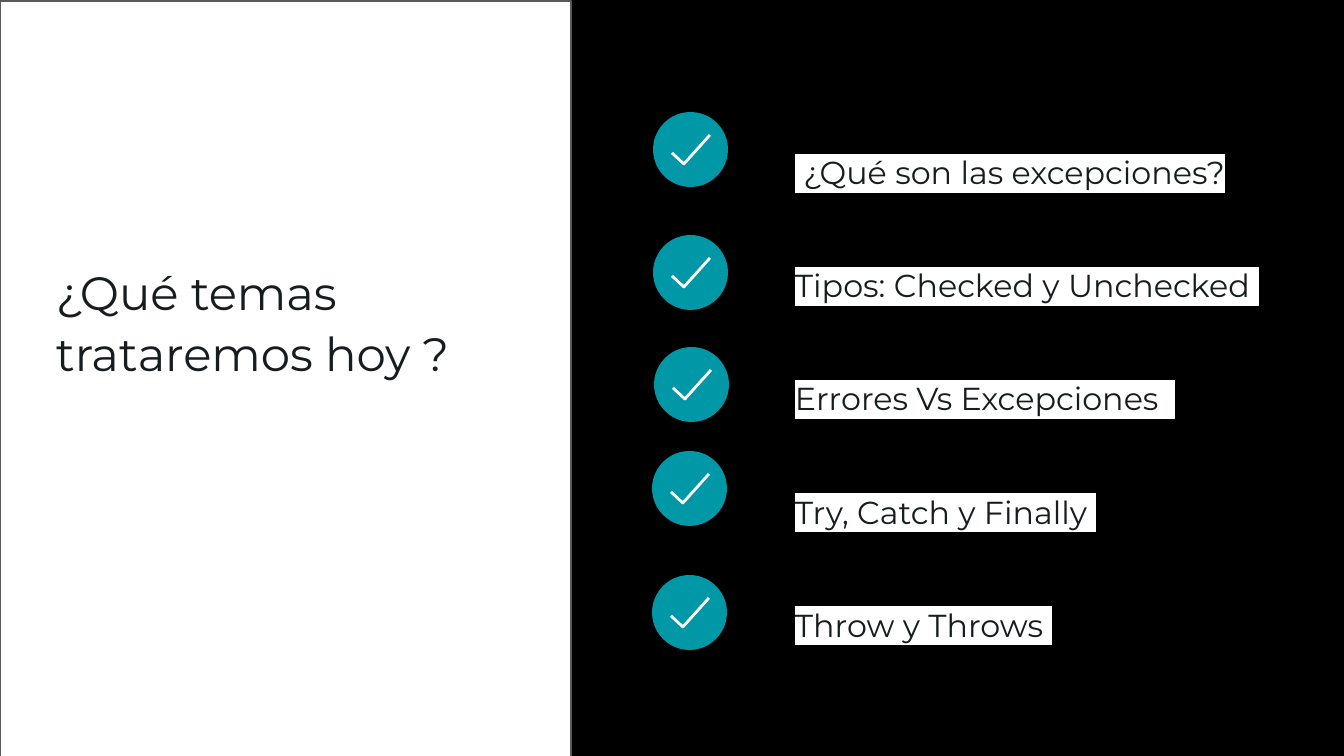
"""Build the agenda slide on exceptions."""
from lxml.etree import SubElement
from pptx import Presentation
from pptx.dml.color import RGBColor
from pptx.enum.shapes import MSO_SHAPE
from pptx.enum.text import MSO_ANCHOR
from pptx.oxml.ns import qn
from pptx.util import Pt

EMU_PER_PX = 914400 / 134.4
FONT = "Montserrat"
BLACK = RGBColor(0x00, 0x00, 0x00)
WHITE = RGBColor(0xFF, 0xFF, 0xFF)
GRAY = RGBColor(0x59, 0x59, 0x59)
INK = RGBColor(0x17, 0x1D, 0x1E)
TEAL = RGBColor(0x00, 0x97, 0xA7)

TITLE = "¿Qué temas trataremos hoy ?"
TOPICS = [
    " ¿Qué son las excepciones?",
    "Tipos: Checked y Unchecked ",
    "Errores Vs Excepciones  ",
    "Try, Catch y Finally ",
    "Throw y Throws ",
]
BADGE_POSITIONS = [(653, 112), (653, 235), (654, 347), (652, 451), (652, 575)]
BADGE_SIZE = 75
TICK_POINTS = [(19, 41), (31, 52), (57, 23)]


def px(*lengths):
    return [round(length * EMU_PER_PX) for length in lengths]


def write_text(paragraph, text, size, line_spacing=1.0, space_after=0):
    paragraph.line_spacing = line_spacing
    paragraph.space_after = Pt(space_after)
    run = paragraph.add_run()
    run.text = text
    run.font.name = FONT
    run.font.size = Pt(size)
    run.font.color.rgb = INK
    properties = run.font._element
    highlight = SubElement(properties, qn("a:highlight"))
    SubElement(highlight, qn("a:srgbClr"), val=str(WHITE))
    properties.find(qn("a:solidFill")).addnext(highlight)


class SlideBuilder:
    def __init__(self, slide, background):
        self.slide = slide
        slide.background.fill.solid()
        slide.background.fill.fore_color.rgb = background

    def style(self, shape, fill=None, line=None, width=0.75):
        shape.shadow.inherit = False
        if fill is None:
            shape.fill.background()
        else:
            shape.fill.solid()
            shape.fill.fore_color.rgb = fill
        if line is None:
            shape.line.fill.background()
        else:
            shape.line.color.rgb = line
            shape.line.width = Pt(width)

    def panel(self, left, top, width, height, fill, line):
        shape = self.slide.shapes.add_shape(
            MSO_SHAPE.RECTANGLE, *px(left, top, width, height))
        self.style(shape, fill, line)

    def text_box(self, left, top, width, height, texts, **text_format):
        box = self.slide.shapes.add_textbox(*px(left, top, width, height))
        frame = box.text_frame
        frame.word_wrap = True
        frame.vertical_anchor = MSO_ANCHOR.TOP
        frame.margin_left = frame.margin_right = 0
        frame.margin_top = frame.margin_bottom = 0
        for index, text in enumerate(texts):
            paragraph = frame.add_paragraph() if index else frame.paragraphs[0]
            write_text(paragraph, text, **text_format)

    def check_badge(self, left, top):
        shapes = self.slide.shapes.add_group_shape().shapes
        circle = shapes.add_shape(
            MSO_SHAPE.OVAL, *px(left, top, BADGE_SIZE, BADGE_SIZE))
        self.style(circle, TEAL)
        points = [(left + x, top + y) for x, y in TICK_POINTS]
        builder = shapes.build_freeform(*points[0], scale=EMU_PER_PX)
        builder.add_line_segments(points[1:], close=False)
        self.style(builder.convert_to_shape(), line=WHITE, width=1.5)


def main():
    presentation = Presentation()
    presentation.slide_width, presentation.slide_height = px(1344, 756)
    slide = presentation.slides.add_slide(presentation.slide_layouts[6])
    builder = SlideBuilder(slide, BLACK)
    builder.panel(0, 1, 571, 761, WHITE, GRAY)
    builder.text_box(56, 258, 468, 118, [TITLE], size=25, line_spacing=1.1)
    builder.text_box(795, 134, 481, 539, TOPICS, size=17, line_spacing=1.5, space_after=30)
    for left, top in BADGE_POSITIONS:
        builder.check_badge(left, top)
    presentation.save("out.pptx")


if __name__ == "__main__":
    main()
